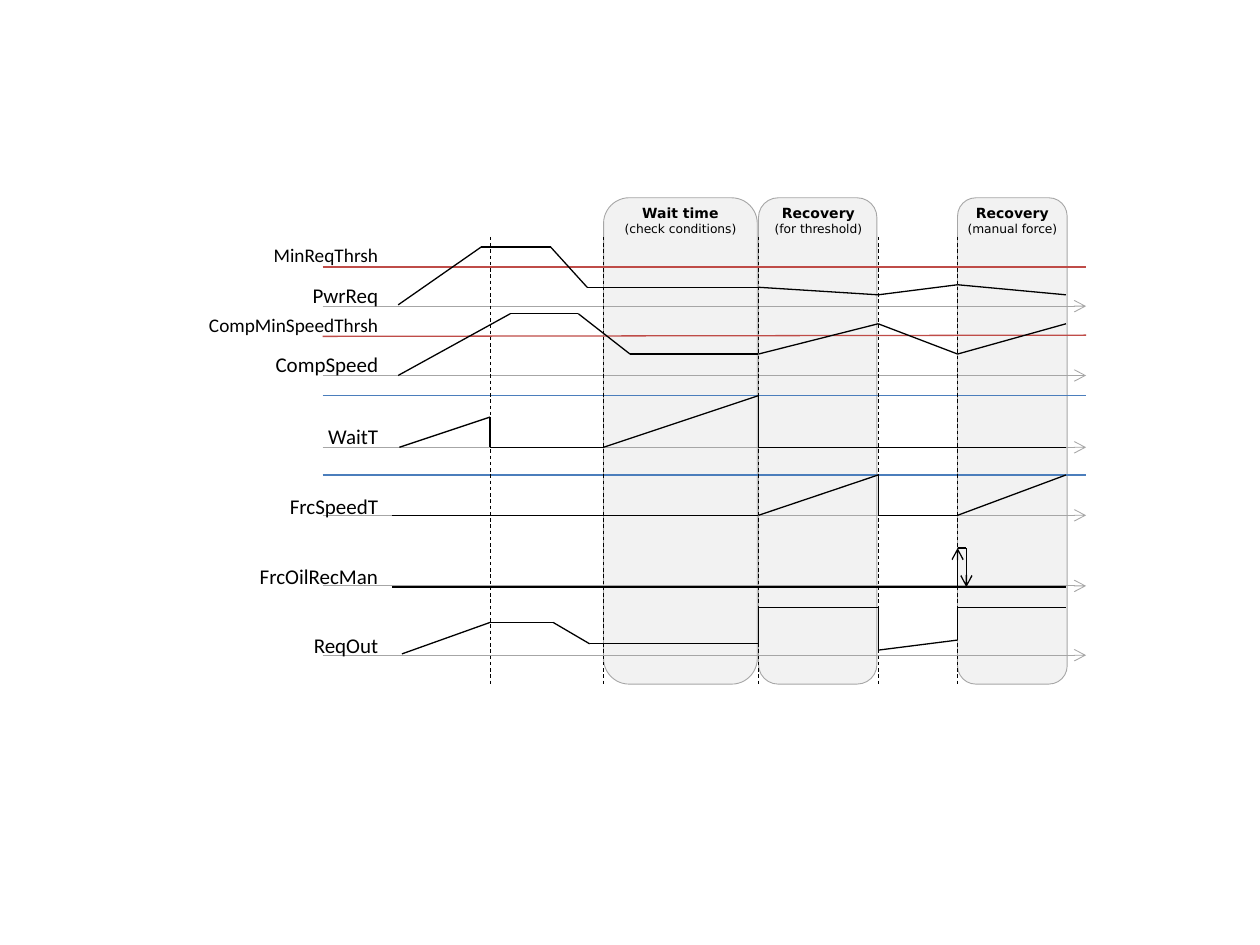
from dataclasses import dataclass
from itertools import pairwise

from lxml import etree
from pptx import Presentation
from pptx.dml.color import RGBColor
from pptx.enum import dml, shapes, text
from pptx.oxml.ns import qn
from pptx.util import Inches, Pt

Point = tuple[float, float]


@dataclass(frozen=True)
class Theme:
    ink: str = "000000"
    panel: str = "F2F2F2"
    axis: str = "A6A6A6"
    limit: str = "BF4C48"
    timer: str = "4B7EBC"
    label: str = "Calibri"
    head: str = "DejaVu Sans"
    name: int = 12
    small: int = 11
    title: int = 8
    note: int = 7
    thin: float = 0.5
    line: float = 0.75


@dataclass(frozen=True)
class Panel:
    left: float
    width: float
    title: str
    note: str
    text_left: float
    text_width: float


@dataclass(frozen=True)
class Label:
    top: float
    name: str
    size: int


@dataclass(frozen=True)
class Limit:
    start: float
    end: float
    color: str


T = Theme()
TOP, BASE = 1.57, 5.43
LEFT, RIGHT = 2.56, 8.62
# Moments at which the phases change
STOP, WAIT, AUTO, DONE, FORCE, END = 3.89, 4.79, 6.02, 6.97, 7.6, 8.46

PANELS = [
    Panel(WAIT, 1.22, "Wait time", "(check conditions)", WAIT, 1.22),
    Panel(AUTO, 0.94, "Recovery", "(for threshold)", AUTO, 0.95),
    Panel(FORCE, 0.87, "Recovery", "(manual force)", 7.52, 1.03),
]
AXES = [2.43, 2.98, 3.55, 4.09, 4.65, 5.2]
LABELS = [
    Label(1.88, "MinReqThrsh", T.small),
    Label(2.19, "PwrReq", T.name),
    Label(2.44, "CompMinSpeedThrsh", T.small),
    Label(2.74, "CompSpeed", T.name),
    Label(3.31, "WaitT", T.name),
    Label(3.87, "FrcSpeedT", T.name),
    Label(4.42, "FrcOilRecMan", T.name),
    Label(4.97, "ReqOut", T.name),
]
LIMITS = [
    Limit(2.12, 2.12, T.limit),
    Limit(2.67, 2.66, T.limit),
    Limit(3.14, 3.14, T.timer),
    Limit(3.77, 3.77, T.timer),
]
TRACES: dict[str, list[Point]] = {
    "PwrReq": [(3.16, 2.42), (3.82, 1.96), (4.37, 1.96), (4.66, 2.28), (AUTO, 2.28),
               (DONE, 2.34), (FORCE, 2.26), (END, 2.34)],
    "CompSpeed": [(3.16, 2.98), (4.05, 2.49), (4.59, 2.49), (5, 2.81), (AUTO, 2.81),
                  (DONE, 2.57), (FORCE, 2.81), (END, 2.57)],
    "WaitT": [(3.17, 3.55), (STOP, 3.31), (STOP, 3.55), (WAIT, 3.55), (AUTO, 3.14),
              (AUTO, 3.55), (END, 3.55)],
    "FrcSpeedT": [(3.11, 4.09), (AUTO, 4.09), (DONE, 3.77), (DONE, 4.09),
                  (FORCE, 4.09), (END, 3.77)],
    "FrcOilRecMan": [(3.11, 4.66), (FORCE, 4.66), (END, 4.66)],
    "ReqOut": [(3.19, 5.19), (STOP, 4.94), (4.39, 4.94), (4.68, 5.11), (AUTO, 5.11),
               (AUTO, 4.82), (DONE, 4.82), (DONE, 5.16), (FORCE, 5.08),
               (FORCE, 4.82), (END, 4.82)],
}


def paint(font, **form) -> None:
    for key, value in form.items():
        setattr(font, key, value)
    font.color.rgb = RGBColor.from_string(T.ink)


def draw_line(slide, start: Point, end: Point, color: str = T.ink,
              width: float = T.line, dash: bool = False, arrow: bool = False) -> None:
    ends = [Inches(n) for n in (*start, *end)]
    line = slide.shapes.add_connector(shapes.MSO_CONNECTOR.STRAIGHT, *ends)
    line.line.color.rgb = RGBColor.from_string(color)
    line.line.width = Pt(width)
    if dash:
        line.line.dash_style = dml.MSO_LINE.DASH
    props = line._element.spPr
    if arrow:
        etree.SubElement(props.find(qn("a:ln")), qn("a:tailEnd"), type="arrow")
    etree.SubElement(props, qn("a:effectLst"))


def draw_trace(slide, points: list[Point]) -> None:
    for start, end in pairwise(points):
        draw_line(slide, start, end)


def add_text(slide, box: tuple[float, float, float, float], align,
             rows: list[tuple[str, dict]]) -> None:
    """Add a text box with one paragraph for each row of words and format."""
    frame = slide.shapes.add_textbox(*map(Inches, box)).text_frame
    frame.word_wrap = True
    frame.auto_size = text.MSO_AUTO_SIZE.SHAPE_TO_FIT_TEXT
    for i, (words, form) in enumerate(rows):
        para = frame.add_paragraph() if i else frame.paragraphs[0]
        para.alignment = align
        run = para.add_run()
        run.text = words
        paint(run.font, **form)


def draw_panel(slide, panel: Panel) -> None:
    box = map(Inches, (panel.left, TOP, panel.width, BASE - TOP))
    shape = slide.shapes.add_shape(shapes.MSO_SHAPE.ROUNDED_RECTANGLE, *box)
    shape.shadow.inherit = False
    shape.fill.solid()
    shape.fill.fore_color.rgb = RGBColor.from_string(T.panel)
    shape.line.color.rgb = RGBColor.from_string(T.axis)
    shape.line.width = Pt(T.thin)
    add_text(slide, (panel.text_left, TOP, panel.text_width, 0.35), text.PP_ALIGN.CENTER, [
        (panel.title, dict(name=T.head, size=Pt(T.title), bold=True)),
        (panel.note, dict(name=T.head, size=Pt(T.note), bold=False)),
    ])


def draw_label(slide, label: Label) -> None:
    form = dict(name=T.label, size=Pt(label.size))
    add_text(slide, (1.45, label.top, 1.65, 0.3), text.PP_ALIGN.RIGHT, [(label.name, form)])


def draw_pulse(slide) -> None:
    low, high, fall = 4.66, 4.35, 7.67
    draw_line(slide, (FORCE, low), (FORCE, high), arrow=True)
    draw_line(slide, (FORCE, high), (fall, high))
    draw_line(slide, (fall, high), (fall, low), arrow=True)


def main() -> None:
    deck = Presentation()
    deck.slide_width, deck.slide_height = Inches(10), Inches(7.5)
    slide = deck.slides.add_slide(deck.slide_layouts[6])
    for panel in PANELS:
        draw_panel(slide, panel)
    for y in AXES:
        draw_line(slide, (LEFT, y), (RIGHT, y), T.axis, T.thin, arrow=True)
    for label in LABELS:
        draw_label(slide, label)
    for limit in LIMITS:
        draw_line(slide, (LEFT, limit.start), (RIGHT, limit.end), limit.color)
    for x in (STOP, WAIT, AUTO, DONE, FORCE):
        draw_line(slide, (x, 1.88), (x, BASE), width=T.thin, dash=True)
    for points in TRACES.values():
        draw_trace(slide, points)
    draw_pulse(slide)
    deck.save("out.pptx")


if __name__ == "__main__":
    main()
